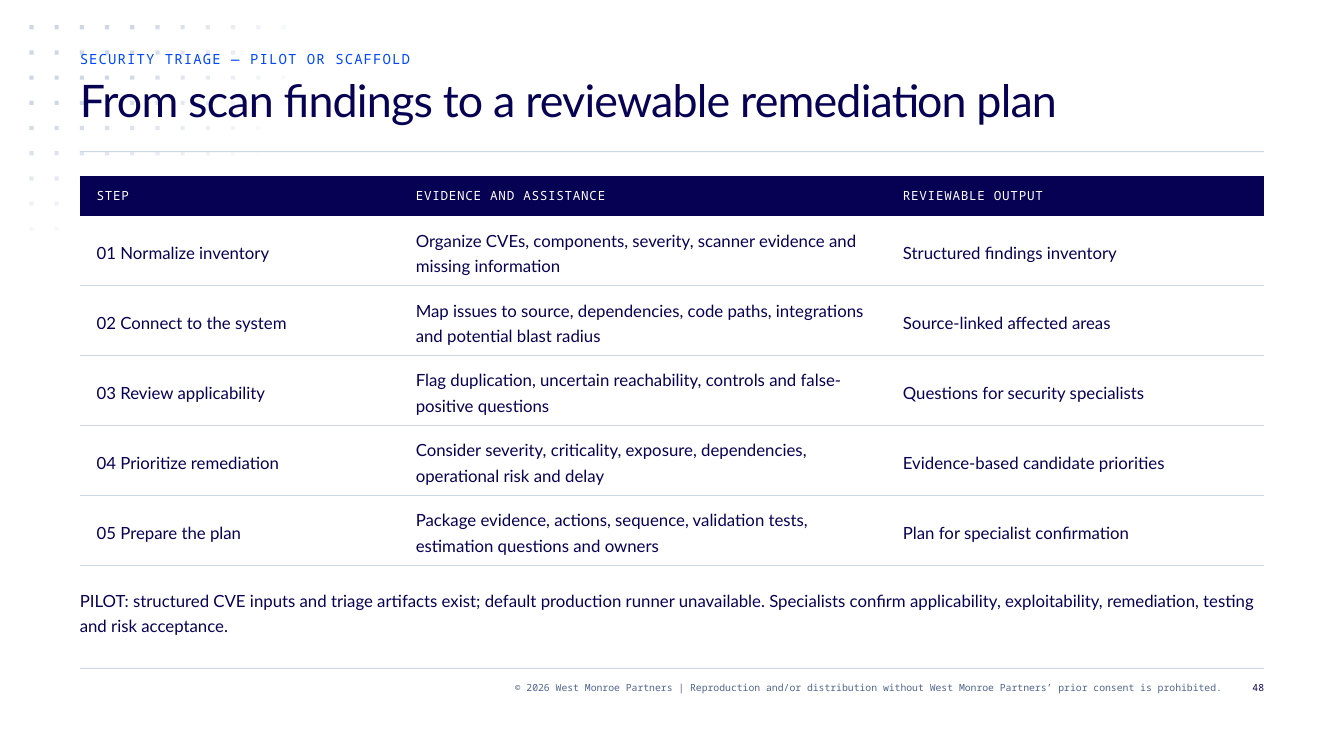
from math import hypot

from lxml.etree import SubElement
from pptx import Presentation
from pptx.dml.color import RGBColor
from pptx.enum.shapes import MSO_SHAPE
from pptx.enum.text import MSO_ANCHOR, MSO_AUTO_SIZE, PP_ALIGN
from pptx.oxml import parse_xml
from pptx.oxml.ns import nsdecls, qn
from pptx.util import Pt

COLORS = {"navy": "070154", "blue": "0047FF", "mist": "CED7E6",
          "slate": "50658E", "white": "FFFFFF"}
SANS, MONO = "Lato", "Noto Sans Mono"
PLAIN_TABLE = "{2D5ABB26-0587-4C30-8999-92F81FD0307C}"

# The slide is a grid of 320 columns and 180 rows, each 3 points
COLS, ROWS, UNIT = 320, 180, 3
LEFT, WIDTH = 19, 282
RIGHT = LEFT + WIDTH


def grid(n):
    return Pt(n * UNIT)


def color(name):
    return RGBColor.from_string(COLORS[name])


def write(tf, text, size=12, font=SANS, fill="navy", leading=18,
          spacing=0, align=PP_ALIGN.LEFT):
    p = tf.paragraphs[0]
    p.alignment, p.line_spacing = align, Pt(leading)
    p.space_before = p.space_after = Pt(0)
    r = p.add_run()
    r.text = text
    r.font.size, r.font.name = Pt(size), font
    r.font.color.rgb = color(fill)
    if spacing:
        r.font._element.set("spc", str(round(spacing * 100)))


class SlideBuilder:
    def __init__(self, prs):
        self.s = prs.slides.add_slide(prs.slide_layouts[5])
        self.s.background.fill.solid()
        self.s.background.fill.fore_color.rgb = color("white")

    def rect(self, x, y, w, h, fill="mist", alpha=1):
        sp = self.s.shapes.add_shape(
            MSO_SHAPE.RECTANGLE, grid(x), grid(y), grid(w), grid(h))
        sp.shadow.inherit = False
        sp.line.fill.background()
        sp.fill.solid()
        sp.fill.fore_color.rgb = color(fill)
        if alpha < 1:
            srgb = sp._element.spPr.find(".//" + qn("a:srgbClr"))
            SubElement(srgb, qn("a:alpha"), val=str(round(alpha * 100) * 1000))

    def dots(self, x, y, step=6, size=1):
        # Opacity falls off along an ellipse around the top left dot
        for col in range(12):
            for row in range(9):
                alpha = min(1, 1.53 * (1 - hypot(col / 11.07, row / 9.07)))
                if alpha >= 0.015:
                    self.rect(x + col * step, y + row * step, size, size,
                              alpha=alpha)

    def frame(self, sp, text, **style):
        tf = sp.text_frame
        tf.word_wrap, tf.auto_size = True, MSO_AUTO_SIZE.NONE
        tf.vertical_anchor = MSO_ANCHOR.TOP
        tf.margin_left = tf.margin_right = tf.margin_top = tf.margin_bottom = 0
        write(tf, text, **style)

    def text(self, x, y, w, h, text, **style):
        sp = self.s.shapes.add_textbox(grid(x), grid(y), grid(w), grid(h))
        self.frame(sp, text, **style)

    def title(self, x, y, w, h, text, **style):
        sp = self.s.shapes.title
        sp.left, sp.top, sp.width, sp.height = map(grid, (x, y, w, h))
        self.frame(sp, text, **style)
        # Bring the title in front of the dots
        sp._element.getparent().append(sp._element)

    def table(self, x, y, widths, heights, rows):
        frame = self.s.shapes.add_table(
            len(rows), len(widths), grid(x), grid(y),
            grid(sum(widths)), grid(sum(heights)))
        table = frame.table
        table.first_row = table.horz_banding = False
        table._tbl.tblPr.find(qn("a:tableStyleId")).text = PLAIN_TABLE
        for column, w in zip(table.columns, widths):
            column.width = grid(w)
        for i, (row, h) in enumerate(zip(rows, heights)):
            table.rows[i].height = grid(h)
            for j, text in enumerate(row):
                self.cell(table.cell(i, j), text, header=i == 0)

    def cell(self, cell, text, header):
        cell.vertical_anchor = MSO_ANCHOR.MIDDLE
        cell.margin_left = cell.margin_right = grid(4)
        cell.margin_top = cell.margin_bottom = 0
        cell.fill.solid()
        cell.fill.fore_color.rgb = color("navy" if header else "white")
        if header:
            write(cell.text_frame, text, size=9, font=MONO, fill="white",
                  leading=12, spacing=0.5)
        else:
            write(cell.text_frame, text)
            border = parse_xml(
                f'<a:lnB {nsdecls("a")} w="{Pt(0.75)}"><a:solidFill>'
                f'<a:srgbClr val="{COLORS["mist"]}"/></a:solidFill></a:lnB>')
            cell._tc.get_or_add_tcPr().insert(0, border)


STEPS = [
    ("STEP", "EVIDENCE AND ASSISTANCE", "REVIEWABLE OUTPUT"),
    ("01 Normalize inventory",
     "Organize CVEs, components, severity, scanner evidence and missing information",
     "Structured findings inventory"),
    ("02 Connect to the system",
     "Map issues to source, dependencies, code paths, integrations and potential blast radius",
     "Source-linked affected areas"),
    ("03 Review applicability",
     "Flag duplication, uncertain reachability, controls and false-positive questions",
     "Questions for security specialists"),
    ("04 Prioritize remediation",
     "Consider severity, criticality, exposure, dependencies, operational risk and delay",
     "Evidence-based candidate priorities"),
    ("05 Prepare the plan",
     "Package evidence, actions, sequence, validation tests, estimation questions and owners",
     "Plan for specialist confirmation"),
]


def main():
    prs = Presentation()
    prs.slide_width, prs.slide_height = grid(COLS), grid(ROWS)
    b = SlideBuilder(prs)

    # Backdrop: dots and the two rules
    b.dots(7, 6)
    for y in (36, 159):
        b.rect(LEFT, y, WIDTH, 0.25)

    # Heading
    b.text(LEFT, 12, WIDTH, 4, "SECURITY TRIAGE — PILOT OR SCAFFOLD",
           size=10, font=MONO, fill="blue", leading=12, spacing=0.8)
    b.title(LEFT, 18, WIDTH, 18,
            "From scan findings to a reviewable remediation plan",
            size=32, leading=36, spacing=-0.6)

    # Steps and status note
    heights = [28 / UNIT] + [50 / UNIT] * (len(STEPS) - 1)
    b.table(LEFT, 42, (76, 116, 90), heights, STEPS)
    b.text(LEFT, 139.5, WIDTH, 14,
           "PILOT: structured CVE inputs and triage artifacts exist; default "
           "production runner unavailable. Specialists confirm applicability, "
           "exploitability, remediation, testing and risk acceptance.")

    # Footer
    small = dict(size=7, font=MONO, leading=9, align=PP_ALIGN.RIGHT)
    b.text(57, 162, 234, 6,
           "© 2026 West Monroe Partners | Reproduction and/or distribution "
           "without West Monroe Partners’ prior consent is prohibited.",
           fill="slate", **small)
    b.text(RIGHT - 8, 162, 8, 6, "48", **small)

    prs.save("out.pptx")


if __name__ == "__main__":
    main()
